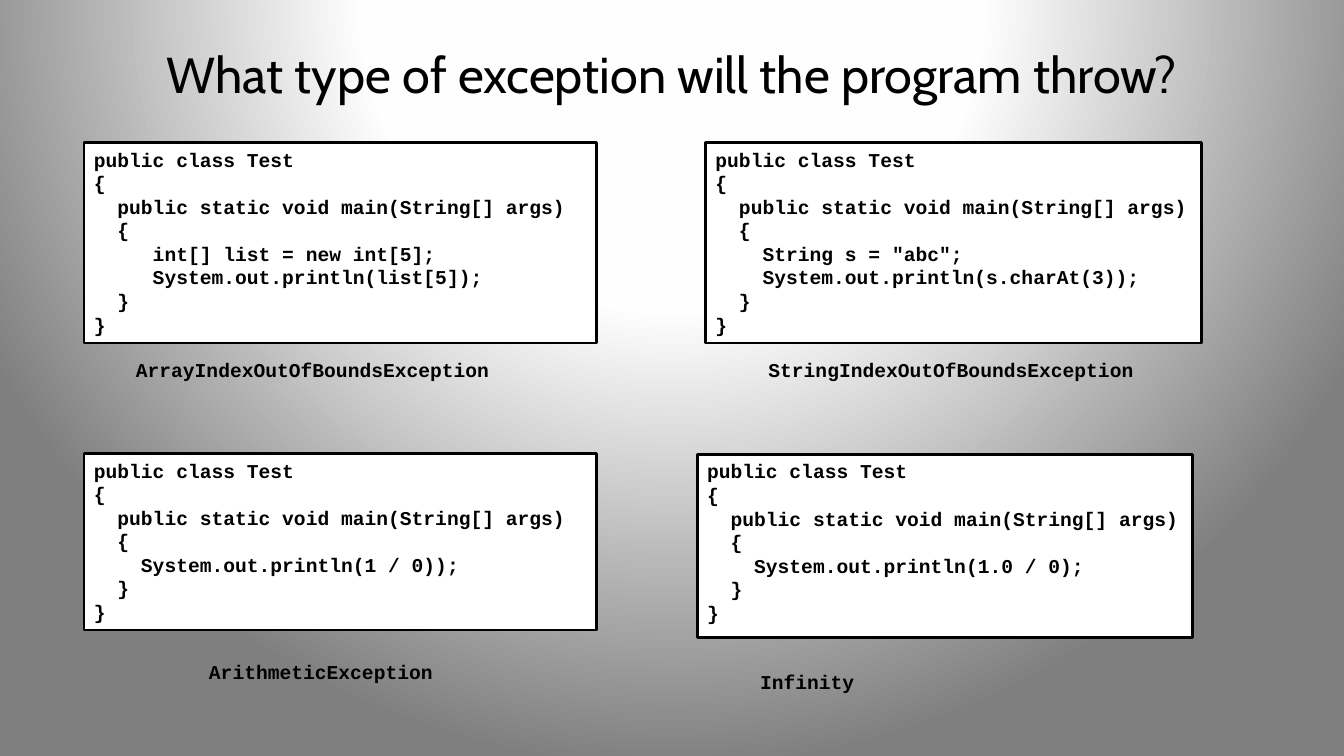
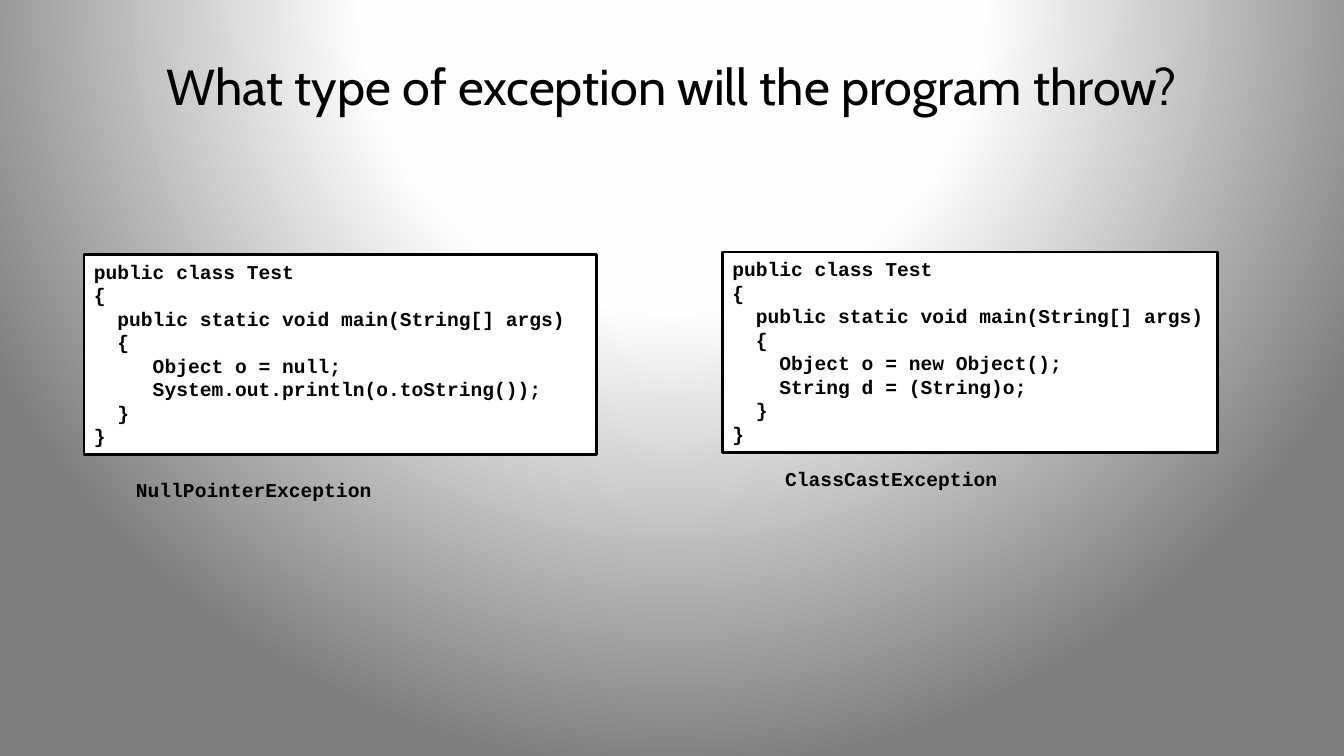
from dataclasses import dataclass
from lxml.etree import fromstring
from pptx import Presentation as Deck
from pptx.dml.color import RGBColor as Rgb
from pptx.enum.shapes import MSO_SHAPE as Form
from pptx.enum.text import MSO_ANCHOR as Anchor, PP_ALIGN as Align
from pptx.oxml.ns import qn
from pptx.util import Inches, Pt


@dataclass(frozen=True)
class Theme:
    ink: str = "000000"
    paper: str = "FFFFFF"
    glow: tuple = ((0, "FFFFFF"), (40, "FEFEFE"), (100, "7F7F7F"))
    head: str = "Cabin"
    mono: str = "Courier New"
    big: int = 36
    small: int = 14
    rule: int = 2


COLS, ROWS = 160, 90
CELL = Inches(7.5) / ROWS
WIDE, SLIM = 61, 59
LINE, PAD, CHAR = 2.83, 1.2, 1.4
TITLE = "What type of exception will the program throw?"


class Board:
    def __init__(self, theme):
        self.theme = theme
        self.deck = Deck()
        self.deck.slide_width = round(COLS * CELL)
        self.deck.slide_height = round(ROWS * CELL)
        self.slide = None
        self.glow()

    def glow(self):
        master = self.deck.slide_master
        master.background.fill.background()
        prop = master.element.find(".//" + qn("p:bgPr"))
        stops = "".join(
            f'<a:gs pos="{pos * 1000}"><a:srgbClr val="{tone}"/></a:gs>'
            for pos, tone in self.theme.glow)
        fill = fromstring(
            '<a:gradFill xmlns:a="http://schemas.openxmlformats.org/drawingml/2006/main"'
            f' rotWithShape="1"><a:gsLst>{stops}</a:gsLst><a:path path="circle">'
            '<a:fillToRect l="50000" t="-80000" r="50000" b="180000"/>'
            '</a:path></a:gradFill>')
        prop.replace(prop.find(qn("a:noFill")), fill)

    def page(self, row):
        self.slide = self.deck.slides.add_slide(self.deck.slide_layouts[6])
        self.title(row)

    def area(self, *cells):
        return [round(n * CELL) for n in cells]

    def label(self, shape, text, font, size, bold=False,
              align=Align.LEFT, anchor=Anchor.TOP):
        frame = shape.text_frame
        frame.text = text
        frame.word_wrap = True
        frame.vertical_anchor = anchor
        for para in frame.paragraphs:
            para.alignment = align
            for run in para.runs:
                run.font.name = font
                run.font.size = Pt(size)
                run.font.bold = bold
                run.font.color.rgb = Rgb.from_string(self.theme.ink)

    def title(self, row):
        box = self.slide.shapes.add_textbox(*self.area(8, row, COLS - 16, 11.4))
        self.label(box, TITLE, self.theme.head, self.theme.big,
                   align=Align.CENTER, anchor=Anchor.MIDDLE)

    def code(self, col, row, wide, body, depth, extra=0):
        lines = ["public class Test", "{",
                 "  public static void main(String[] args)", "  {",
                 *(" " * depth + line for line in body), "  }", "}"]
        high = len(lines) * LINE + PAD + extra
        box = self.slide.shapes.add_shape(
            Form.RECTANGLE, *self.area(col, row, wide, high))
        box.shadow.inherit = False
        box.fill.solid()
        box.fill.fore_color.rgb = Rgb.from_string(self.theme.paper)
        box.line.color.rgb = Rgb.from_string(self.theme.ink)
        box.line.width = Pt(self.theme.rule)
        self.label(box, "\n".join(lines), self.theme.mono, self.theme.small, True)

    def answer(self, col, row, text):
        wide = len(text) * CHAR + 2 * PAD + 0.5
        box = self.slide.shapes.add_textbox(*self.area(col, row, wide, 4))
        self.label(box, text, self.theme.mono, self.theme.small, True)


def main():
    board = Board(Theme())

    board.page(3)
    board.code(84, 17, SLIM,
               ['String s = "abc";', "System.out.println(s.charAt(3));"], 4)
    board.answer(90.3, 42, "StringIndexOutOfBoundsException")
    board.code(10, 17, WIDE,
               ["int[] list = new int[5];", "System.out.println(list[5]);"], 5)
    board.answer(15, 42, "ArrayIndexOutOfBoundsException")
    board.code(83, 54.1, SLIM, ["System.out.println(1.0 / 0);"], 4, 0.8)
    board.answer(89.3, 79.1, "Infinity")
    board.code(10, 54, WIDE, ["System.out.println(1 / 0));"], 4)
    board.answer(23.7, 78, "ArithmeticException")

    board.page(4.5)
    board.code(10, 30.3, WIDE,
               ["Object o = null;", "System.out.println(o.toString());"], 5)
    board.answer(15, 56.3, "NullPointerException")
    board.code(86, 30, SLIM,
               ["Object o = new Object();", "String d = (String)o;"], 4)
    board.answer(92.3, 55, "ClassCastException")

    board.deck.save("out.pptx")


if __name__ == "__main__":
    main()
